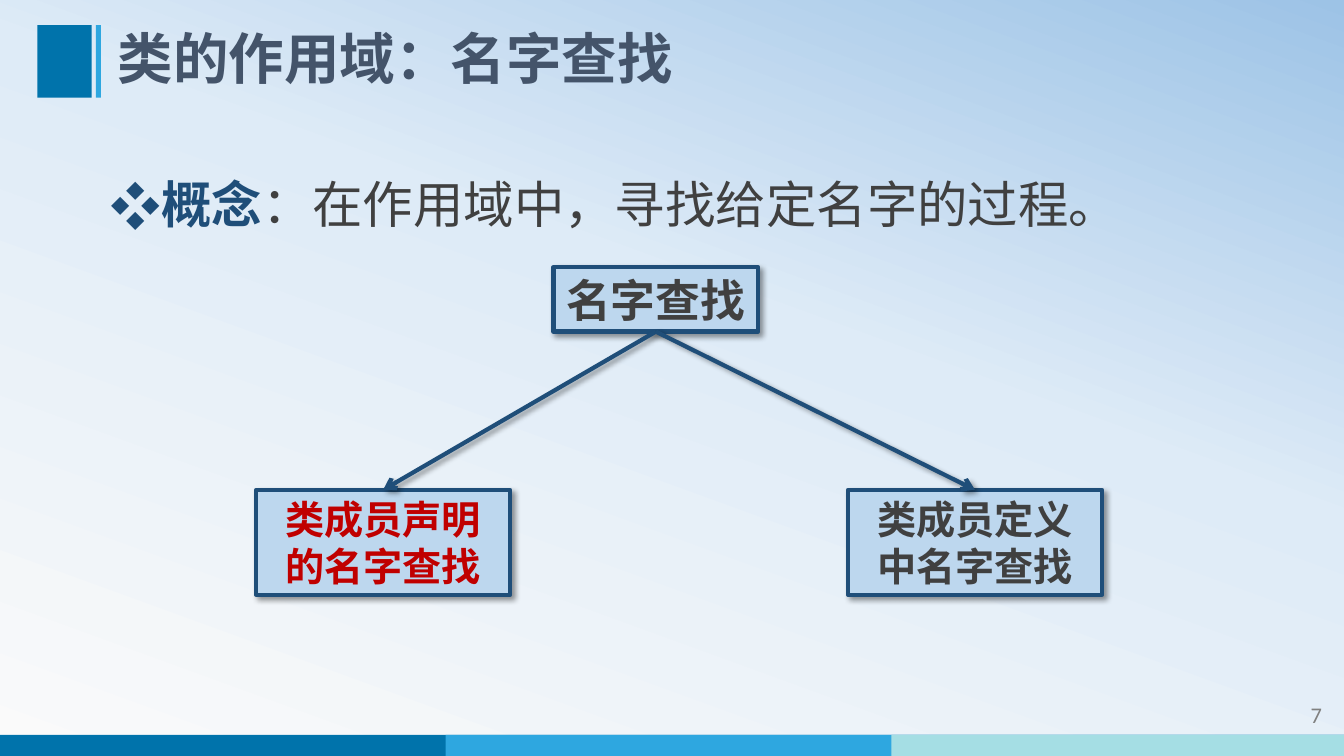
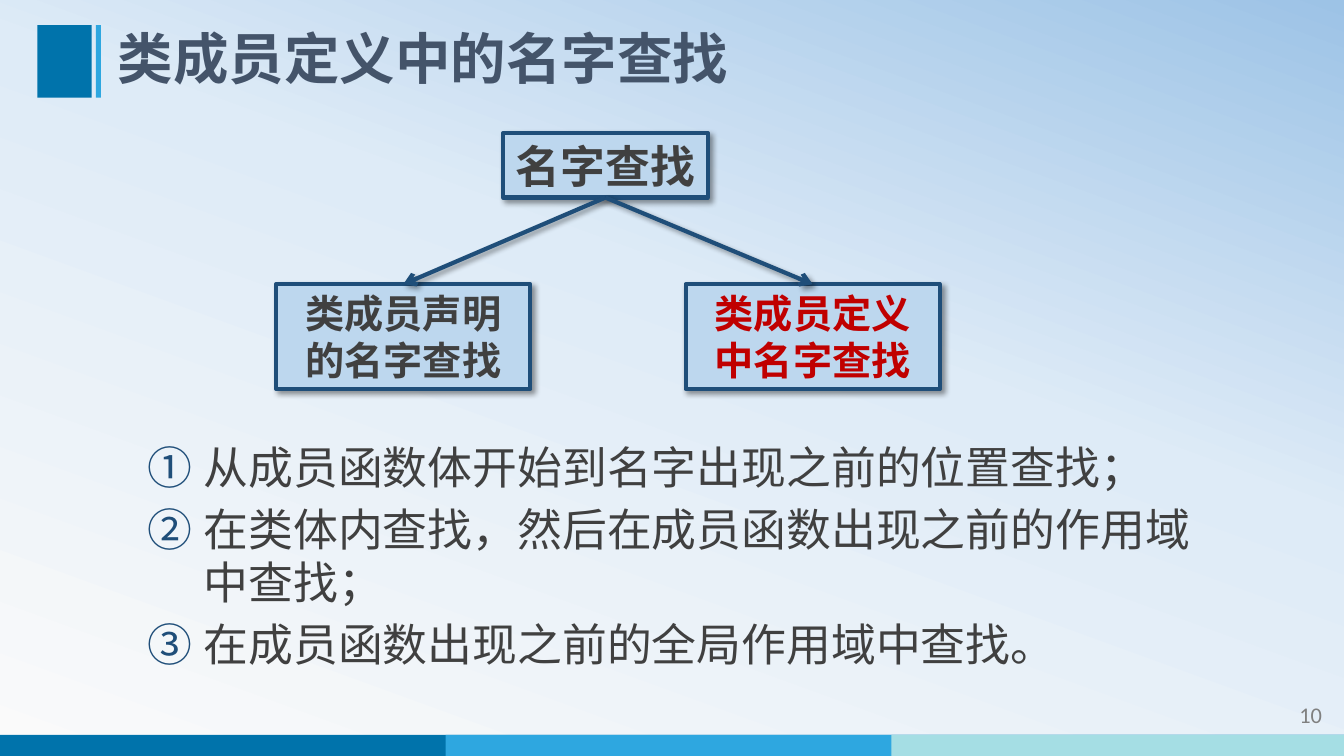
from lxml.etree import SubElement
from pptx import Presentation
from pptx.dml.color import RGBColor
from pptx.enum.shapes import MSO_CONNECTOR, MSO_SHAPE
from pptx.enum.text import MSO_ANCHOR as ANCHOR, MSO_AUTO_SIZE, PP_ALIGN as ALIGN
from pptx.oxml.ns import qn
from pptx.util import Inches, Pt

W, H = 13.33, 7.5
SANS = "Noto Sans CJK SC"
NAVY, SLATE, GREY, RED = "1F4E79", "44546A", "404040", "C00000"
BLUE, SKY, AQUA, PALE = "0073AB", "2EA7E0", "A5DEE4", "BDD7EE"
rgb = RGBColor.from_string


def style(r, size, color, bold=False, font=SANS):
    f = r.font
    f.size, f.bold, f.name, f.color.rgb = Pt(size), bold, font, rgb(color)
    SubElement(r._r.get_or_add_rPr(), qn("a:ea"), typeface=font)


def outline(sp):
    """Give a box or connector the navy line and the soft shadow."""
    sp.line.color.rgb, sp.line.width = rgb(NAVY), Pt(3)
    effects = SubElement(sp._element.spPr, qn("a:effectLst"))
    shadow = SubElement(effects, qn("a:outerShdw"), blurRad=str(Pt(4)), dist=str(Pt(3)),
                        dir=str(45 * 60000), algn="tl", rotWithShape="0")
    black = SubElement(shadow, qn("a:srgbClr"), val="000000")
    SubElement(black, qn("a:alpha"), val="40000")


slides = [
    {"title": "类的作用域：名字查找", "number": "7",
     "root": (5.49, 2.65), "leaf_lefts": (2.54, 8.41), "leaf_top": 4.86, "current": 0,
     "body": (1.35, 1.1), "size": 36, "leading": 66, "level": 0, "indent": 0.25, "hang": 0.25,
     "gap": 0, "bullet": ("a:buChar", {"char": "❖"}),
     "items": [("概念", "：在作用域中，寻找给定名字的过程。")]},
    {"title": "类成员定义中的名字查找", "number": "10",
     "root": (4.99, 1.32), "leaf_lefts": (2.74, 6.8), "leaf_top": 2.82, "current": 1,
     "body": (4.32, 2.59), "size": 32, "leading": 38, "level": 1, "indent": 0.92, "hang": 0.56,
     "gap": 6, "bullet": ("a:buAutoNum", {"type": "circleNumDbPlain"}),
     "items": [("", "从成员函数体开始到名字出现之前的位置查找；"),
               ("", "在类体内查找，然后在成员函数出现之前的作用域中查找；"),
               ("", "在成员函数出现之前的全局作用域中查找。")]},
]
leaf_texts = ("类成员声明的名字查找", "类成员定义中名字查找")

prs = Presentation()
prs.slide_width, prs.slide_height = Inches(W), Inches(H)
layout = prs.slide_layouts[1]

# Shared background: three-stop gradient on the layout
fill = layout.background.fill
fill.gradient()
fill.gradient_angle = 70
stops = fill._fill._gradFill.find(qn("a:gsLst"))
stops.clear()
for share, color in ((0, "FAFAFA"), (58, "DEEBF7"), (100, "9DC3E6")):
    stop = SubElement(stops, qn("a:gs"), pos=str(share * 1000))
    SubElement(stop, qn("a:srgbClr"), val=color)

title_ph = layout.placeholders[0]
title_ph.left, title_ph.top = Inches(1.07), Inches(0.25)
title_ph.width, title_ph.height = Inches(10.86), Inches(0.72)

# Shared bands: each footer band runs to the right edge under the next one
bands = [(4.42 * i, 7.29, W - 4.42 * i, 0.21, c) for i, c in enumerate((BLUE, SKY, AQUA))]
bands += [(0.37, 0.25, 0.54, 0.72, BLUE), (0.95, 0.25, 0.05, 0.72, SKY)]

for n, page in enumerate(slides):
    s = prs.slides.add_slide(layout)

    if n == 0:
        for *place, color in bands:
            band = s.shapes.add_shape(MSO_SHAPE.RECTANGLE, *map(Inches, place))
            band.shadow.inherit = False
            band.fill.solid()
            band.fill.fore_color.rgb = rgb(color)
            band.line.fill.background()
            layout.shapes._spTree.append(band._element)

    # Title
    tf = s.shapes.title.text_frame
    tf.text = page["title"]
    tf.auto_size, tf.vertical_anchor = MSO_AUTO_SIZE.NONE, ANCHOR.MIDDLE
    p = tf.paragraphs[0]
    p.alignment, p.line_spacing = ALIGN.LEFT, 0.9
    style(p.runs[0], 39.6, SLATE, True)

    # Body list
    body = s.placeholders[1]
    top, height = page["body"]
    body.left, body.top, body.width, body.height = map(Inches, (1, top, 11, height))
    tf = body.text_frame
    tf.auto_size, tf.vertical_anchor = MSO_AUTO_SIZE.NONE, ANCHOR.TOP
    for i, (term, text) in enumerate(page["items"]):
        p = tf.paragraphs[0] if i == 0 else tf.add_paragraph()
        p.level, p.alignment = page["level"], ALIGN.LEFT
        p.line_spacing, p.space_before = Pt(page["leading"]), Pt(page["gap"])
        for words, color, bold in ((term, NAVY, True), (text, GREY, False)):
            if words:
                r = p.add_run()
                r.text = words
                style(r, page["size"], color, bold)
        pPr = p._p.get_or_add_pPr()
        pPr.set("marL", str(Inches(page["indent"])))
        pPr.set("indent", str(-Inches(page["hang"])))
        SubElement(SubElement(pPr, qn("a:buClr")), qn("a:srgbClr"), val=NAVY)
        SubElement(pPr, qn("a:buFont"), typeface=SANS)
        tag, attributes = page["bullet"]
        SubElement(pPr, qn(tag), **attributes)

    # Lookup tree: one root, two leaves, the current leaf in red
    nodes = [("名字查找", *page["root"], 2.03, 0.64, 32, GREY)]
    for i, (text, left) in enumerate(zip(leaf_texts, page["leaf_lefts"])):
        color = RED if i == page["current"] else GREY
        nodes.append((text, left, page["leaf_top"], 2.52, 1.04, 28, color))
    boxes = []
    for text, left, top, width, height, size, color in nodes:
        box = s.shapes.add_shape(MSO_SHAPE.RECTANGLE, *map(Inches, (left, top, width, height)))
        box.fill.solid()
        box.fill.fore_color.rgb = rgb(PALE)
        outline(box)
        tf = box.text_frame
        tf.text, tf.word_wrap, tf.vertical_anchor = text, True, ANCHOR.MIDDLE
        p = tf.paragraphs[0]
        p.alignment, p.line_spacing = ALIGN.CENTER, Pt(size * 1.2)
        style(p.runs[0], size, color, True)
        boxes.append(box)
    root, *leaves = boxes
    for leaf in leaves:
        arrow = s.shapes.add_connector(MSO_CONNECTOR.STRAIGHT, 0, 0, 0, 0)
        arrow.begin_connect(root, 2)
        arrow.end_connect(leaf, 0)
        outline(arrow)
        SubElement(arrow.line._get_or_add_ln(), qn("a:tailEnd"), type="arrow")

    # Page number
    tf = s.shapes.add_textbox(*map(Inches, (11.62, 6.91, 1.59, 0.4))).text_frame
    tf.text, tf.word_wrap = page["number"], True
    p = tf.paragraphs[0]
    p.alignment = ALIGN.RIGHT
    style(p.runs[0], 16, "808080", font="Calibri")

prs.save("out.pptx")
